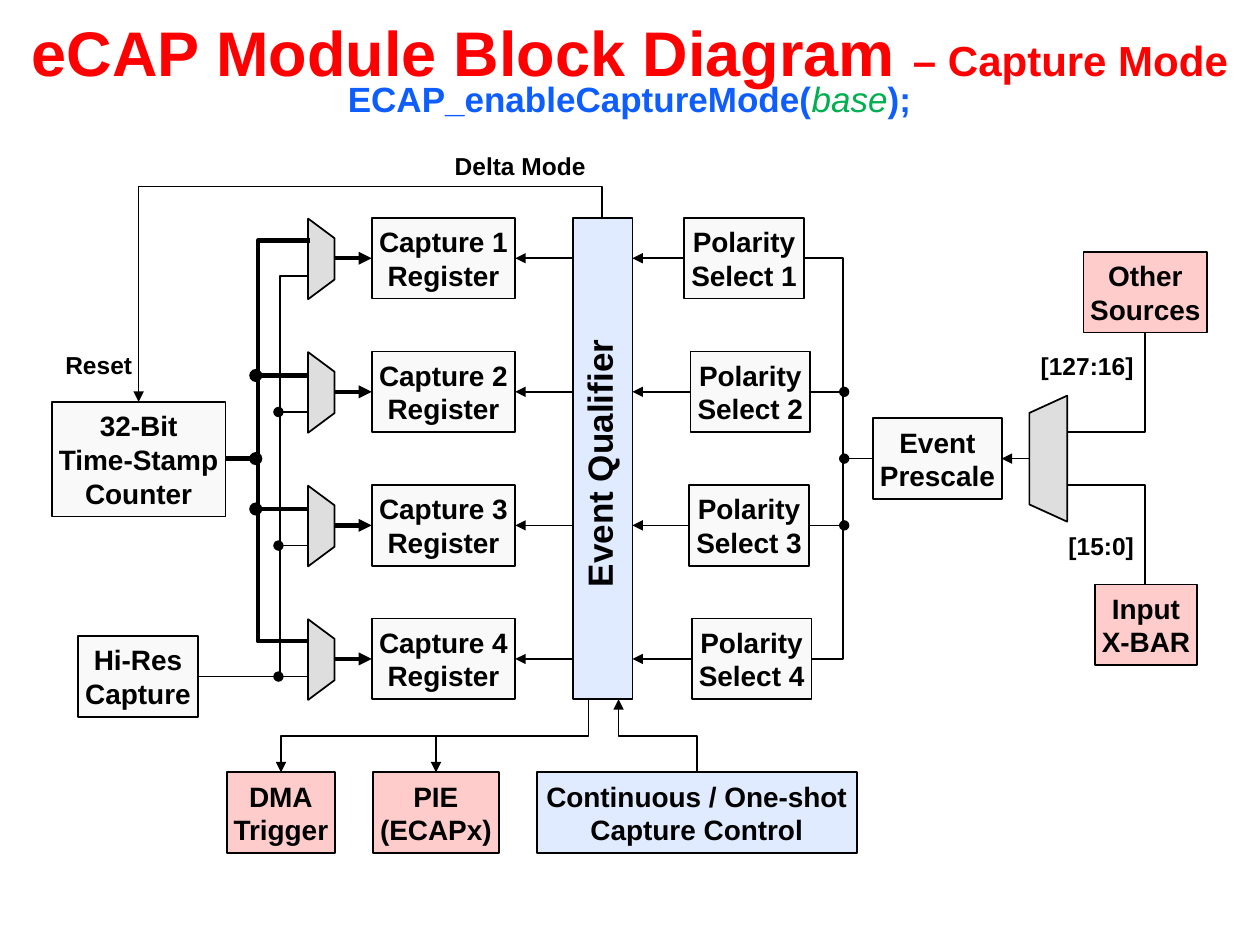
from lxml import etree
from pptx import Presentation
from pptx.dml.color import RGBColor
from pptx.enum.shapes import MSO_CONNECTOR, MSO_SHAPE
from pptx.enum.text import MSO_ANCHOR, PP_ALIGN
from pptx.oxml.ns import qn
from pptx.util import Inches, Pt

STRAIGHT, ELBOW = MSO_CONNECTOR.STRAIGHT, MSO_CONNECTOR.ELBOW
RECTANGLE, TRAPEZOID = MSO_SHAPE.RECTANGLE, MSO_SHAPE.TRAPEZOID
LEFT, CENTER = PP_ALIGN.LEFT, PP_ALIGN.CENTER
MIDDLE = MSO_ANCHOR.MIDDLE

BLACK = RGBColor(0x00, 0x00, 0x00)
RED = RGBColor(0xFF, 0x00, 0x00)
CODE_BLUE = RGBColor(0x0D, 0x5D, 0xFF)
ARGUMENT_GREEN = RGBColor(0x00, 0xB0, 0x50)
BLOCK_GRAY = RGBColor(0xF9, 0xF9, 0xF9)
MUX_GRAY = RGBColor(0xDE, 0xDE, 0xDE)
LOGIC_BLUE = RGBColor(0xE0, 0xEB, 0xFF)
SIGNAL_PINK = RGBColor(0xFF, 0xCC, 0xCC)

THIN, BUS = 1, 2.5
CHANNEL_TOP, CHANNEL_PITCH, BLOCK_HEIGHT = 1.73, 1.06, 0.64
POLARITY_LEFTS = (5.43, 5.48, 5.47, 5.49)
POLARITY_WIDTH = 0.95
MUX_LEFT, MUX_RIGHT = 2.45, 2.65
CAPTURE_LEFT, CAPTURE_WIDTH = 2.95, 1.14
QUALIFIER_LEFT, QUALIFIER_WIDTH = 4.55, 0.47
BUS_X, HI_RES_X, POLARITY_BUS_X = 2.04, 2.22, 6.69
OUTPUT_TOP, OUTPUT_BRANCH_Y = 6.13, 5.84


def write(shape, text, size=16, color=BLACK, bold=True, align=CENTER,
          inset=0.05, wrap=False, spacing=None):
    """Write text; a line is a string or a list of (text, run format) pairs."""
    frame = shape.text_frame
    frame.word_wrap = wrap
    frame.vertical_anchor = MIDDLE
    frame.margin_left = frame.margin_right = Inches(inset)
    frame.margin_top = frame.margin_bottom = Inches(min(inset, 0.05))
    lines = text.split("\n") if isinstance(text, str) else [text]
    for number, line in enumerate(lines):
        paragraph = frame.paragraphs[0] if number == 0 else frame.add_paragraph()
        paragraph.alignment = align
        paragraph.line_spacing = spacing
        for words, style in [(line, {})] if isinstance(line, str) else line:
            run = paragraph.add_run()
            run.text = words
            run.font.name = "Arial"
            run.font.size = Pt(style.get("size", size))
            run.font.bold = style.get("bold", bold)
            run.font.italic = style.get("italic", False)
            run.font.color.rgb = style.get("color", color)


def add_label(slide, box, text, **style):
    write(slide.shapes.add_textbox(*map(Inches, box)), text, **style)


def add_outlined(slide, kind, box, fill):
    shape = slide.shapes.add_shape(kind, *map(Inches, box))
    shape.shadow.inherit = False
    shape.fill.solid()
    shape.fill.fore_color.rgb = fill
    shape.line.color.rgb = BLACK
    shape.line.width = Pt(THIN)
    return shape


def add_block(slide, left, top, width, text, fill=BLOCK_GRAY,
              height=BLOCK_HEIGHT, **style):
    block = add_outlined(slide, RECTANGLE, (left, top, width, height), fill)
    write(block, text, **style)
    return block


def add_mux(slide, box, rotation, slant):
    mux = add_outlined(slide, TRAPEZOID, box, MUX_GRAY)
    mux.rotation = rotation
    mux.adjustments[0] = slant


def add_wire(slide, start, end, weight=THIN, tip=None, kind=STRAIGHT):
    """Draw a connector whose end carries the given tip."""
    wire = slide.shapes.add_connector(kind, *map(Inches, (*start, *end)))
    wire.line.color.rgb = BLACK
    wire.line.width = Pt(weight)
    if tip:
        etree.SubElement(wire.line._get_or_add_ln(), qn("a:tailEnd"), type=tip)
    etree.SubElement(wire._element.spPr, qn("a:effectLst"))
    return wire


def set_bend(wire, fraction):
    guides = wire._element.spPr.find(qn("a:prstGeom")).get_or_add_avLst()
    etree.SubElement(guides, qn("a:gd"), name="adj1",
                     fmla=f"val {round(fraction * 100000)}")


def add_side_elbow(slide, start, end, bend_x, weight=THIN):
    """Leave sideways, run vertically at bend_x, arrive sideways."""
    wire = add_wire(slide, start, end, weight, kind=ELBOW)
    set_bend(wire, (bend_x - start[0]) / (end[0] - start[0]))


def add_upright_elbow(slide, start, end, bend_y, tip=None):
    """Leave vertically, run sideways at bend_y, arrive vertically."""
    (x1, y1), (x2, y2) = start, end
    mid_x, mid_y = (x1 + x2) / 2, (y1 + y2) / 2
    # The ends are turned back a quarter so that the rotation restores them.
    turned = [(mid_x + y - mid_y, mid_y - x + mid_x) for x, y in (start, end)]
    wire = add_wire(slide, *turned, tip=tip, kind=ELBOW)
    wire._element.spPr.xfrm.set("rot", "5400000")
    set_bend(wire, (bend_y - y1) / (y2 - y1))


def add_headings(slide):
    add_label(slide, (0, 0, 10, 0.81),
              [("eCAP Module Block Diagram ", {}), ("– Capture Mode", {"size": 24})],
              size=36, color=RED, inset=0.1, wrap=True)
    add_label(slide, (2.64, 0.63, 4.71, 0.37),
              [("ECAP_enableCaptureMode(", {}),
               ("base", {"color": ARGUMENT_GREEN, "bold": False, "italic": True}),
               (");", {})],
              size=20, color=CODE_BLUE, inset=0.1, spacing=0.8)


def add_channel(slide, index, polarity_left):
    top = CHANNEL_TOP + index * CHANNEL_PITCH
    middle = top + BLOCK_HEIGHT / 2
    qualifier_right = QUALIFIER_LEFT + QUALIFIER_WIDTH
    add_block(slide, CAPTURE_LEFT, top, CAPTURE_WIDTH,
              f"Capture {index + 1}\nRegister")
    add_block(slide, polarity_left, top, POLARITY_WIDTH,
              f"Polarity\nSelect {index + 1}")
    add_mux(slide, (2.23, top + 0.22, 0.64, 0.21), 90, 0.743)
    add_wire(slide, (MUX_RIGHT, middle), (CAPTURE_LEFT, middle), BUS, "triangle")
    add_wire(slide, (QUALIFIER_LEFT, middle),
             (CAPTURE_LEFT + CAPTURE_WIDTH, middle), tip="triangle")
    add_wire(slide, (polarity_left, middle), (qualifier_right, middle),
             tip="triangle")
    if index in (1, 2):
        add_wire(slide, (MUX_LEFT, top + 0.19), (BUS_X - 0.01, top + 0.19),
                 BUS, "oval")
        add_wire(slide, (MUX_LEFT, top + 0.48), (HI_RES_X - 0.01, top + 0.48),
                 tip="oval")
        add_wire(slide, (polarity_left + POLARITY_WIDTH, middle),
                 (POLARITY_BUS_X + 0.01, middle), tip="oval")


def add_counter_side(slide):
    add_side_elbow(slide, (2.46, 1.91), (2.45, 5.09), BUS_X, BUS)
    add_side_elbow(slide, (2.45, 2.19), (2.44, 5.37), HI_RES_X)
    add_block(slide, 0.41, 3.19, 1.38, "32-Bit\nTime-Stamp\nCounter", height=0.91)
    add_block(slide, 0.62, 5.05, 0.95, "Hi-Res\nCapture")
    add_wire(slide, (1.79, 3.64), (BUS_X - 0.01, 3.64), BUS, "oval")
    add_wire(slide, (1.57, 5.37), (HI_RES_X - 0.01, 5.37), tip="oval")
    add_upright_elbow(slide, (4.78, 1.73), (1.1, 3.19), 1.48, "triangle")
    for box, text in (((3.51, 1.19, 1.25, 0.29), "Delta Mode"),
                      ((0.42, 2.77, 0.73, 0.29), "Reset")):
        add_label(slide, box, text, size=14, align=LEFT, inset=0.1, spacing=0.8)


def add_event_side(slide):
    add_side_elbow(slide, (6.38, 2.05), (6.44, 5.23), POLARITY_BUS_X)
    add_block(slide, 6.93, 3.32, 1.02, "Event\nPrescale")
    add_wire(slide, (6.93, 3.64), (POLARITY_BUS_X + 0.01, 3.64), tip="oval")
    add_mux(slide, (7.82, 3.49, 1, 0.3), 270, 0.456)
    add_wire(slide, (8.17, 3.64), (7.95, 3.64), tip="triangle")
    add_block(slide, 8.6, 2, 0.98, "Other\nSources", SIGNAL_PINK)
    add_block(slide, 8.69, 4.64, 0.81, "Input\nX-BAR", SIGNAL_PINK)
    add_upright_elbow(slide, (9.09, 2.64), (8.47, 3.43), 3.43)
    add_upright_elbow(slide, (8.47, 3.85), (9.09, 4.64), 3.85)
    for box, text in (((8.26, 2.83, 0.74, 0.19), "[127:16]"),
                      ((8.48, 4.26, 0.52, 0.19), "[15:0]")):
        add_label(slide, box, text, size=14, align=LEFT, inset=0, spacing=0.8)


def add_qualifier_outputs(slide):
    qualifier = add_block(slide, QUALIFIER_LEFT, CHANNEL_TOP, QUALIFIER_WIDTH,
                          "Event Qualifier ", LOGIC_BLUE, height=3.82,
                          size=20, wrap=True, spacing=0.8)
    qualifier.text_frame._txBody.bodyPr.set("vert", "vert270")
    for left, width, text, fill in (
            (1.8, 0.86, "DMA\nTrigger", SIGNAL_PINK),
            (2.96, 1, "PIE\n(ECAPx)", SIGNAL_PINK),
            (4.26, 2.54, "Continuous / One-shot\nCapture Control", LOGIC_BLUE)):
        add_block(slide, left, OUTPUT_TOP, width, text, fill)
    add_upright_elbow(slide, (5.53, OUTPUT_TOP), (4.91, 5.55), OUTPUT_BRANCH_Y,
                      "triangle")
    add_upright_elbow(slide, (4.67, 5.55), (2.23, OUTPUT_TOP), OUTPUT_BRANCH_Y,
                      "triangle")
    add_wire(slide, (3.46, OUTPUT_BRANCH_Y), (3.46, OUTPUT_TOP), tip="triangle")


def main():
    deck = Presentation()
    deck.slide_width, deck.slide_height = Inches(10), Inches(7.5)
    slide = deck.slides.add_slide(deck.slide_layouts[6])
    add_headings(slide)
    for index, polarity_left in enumerate(POLARITY_LEFTS):
        add_channel(slide, index, polarity_left)
    add_counter_side(slide)
    add_event_side(slide)
    add_qualifier_outputs(slide)
    deck.save("out.pptx")


if __name__ == "__main__":
    main()
